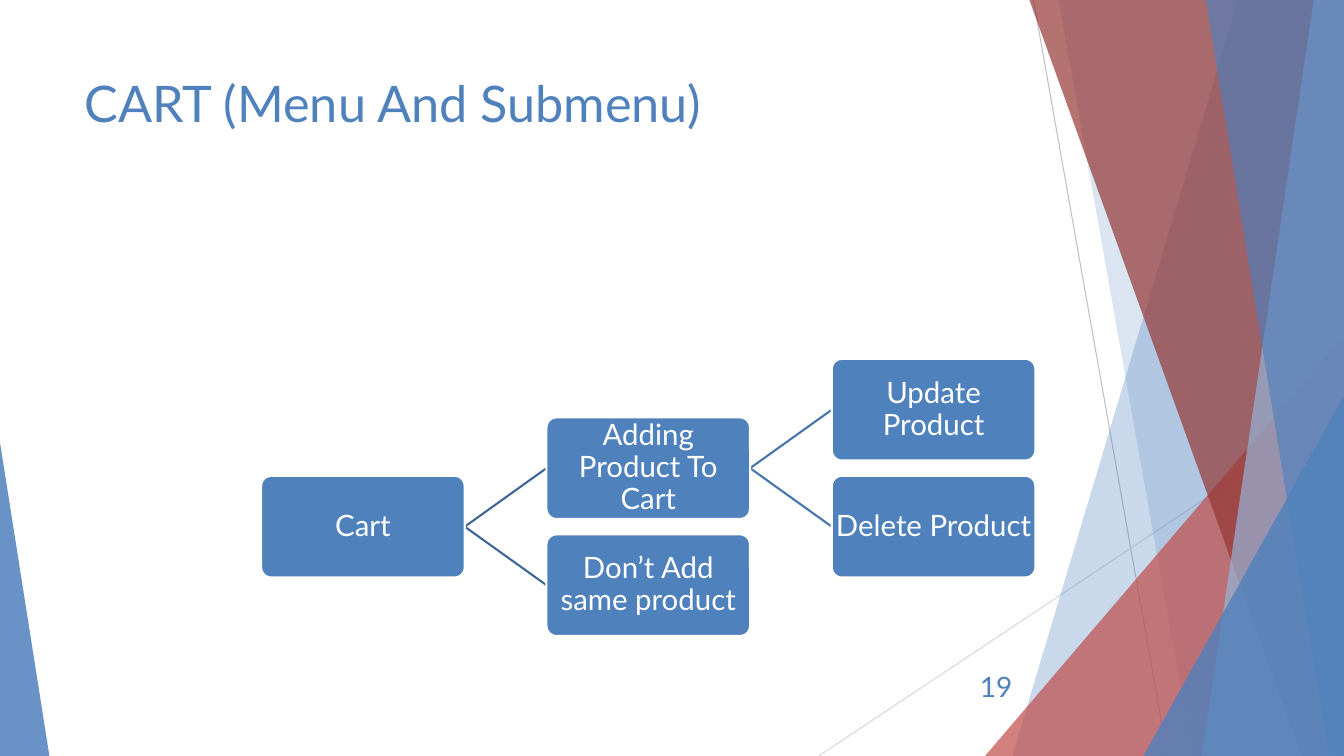
from lxml import etree
from pptx import Presentation
from pptx.dml.color import RGBColor
from pptx.enum.shapes import MSO_CONNECTOR, MSO_SHAPE
from pptx.enum.text import MSO_ANCHOR, PP_ALIGN
from pptx.oxml.ns import qn
from pptx.util import Inches, Pt

STRAIGHT = MSO_CONNECTOR.STRAIGHT
TRIANGLE = MSO_SHAPE.ISOSCELES_TRIANGLE
ROUNDED = MSO_SHAPE.ROUNDED_RECTANGLE
TOP, MIDDLE = MSO_ANCHOR.TOP, MSO_ANCHOR.MIDDLE
LEFT, CENTER, RIGHT = PP_ALIGN.LEFT, PP_ALIGN.CENTER, PP_ALIGN.RIGHT

BLUE = RGBColor(0x4F, 0x81, 0xBD)
PALE_BLUE = RGBColor(0x95, 0xB3, 0xD7)
RED = RGBColor(0xC0, 0x50, 0x4D)
DARK_RED = RGBColor(0x95, 0x37, 0x35)
WHITE = RGBColor(0xFF, 0xFF, 0xFF)
GREY = RGBColor(0xBF, 0xBF, 0xBF)
LIGHT_GREY = RGBColor(0xD9, 0xD9, 0xD9)
ROOT_LINK = RGBColor(0x3F, 0x67, 0x97)
CHILD_LINK = RGBColor(0x48, 0x75, 0xAC)

FONT = "Lato"
W, H = 13.33, 7.5

NODES = {
    "Cart": (0, 2),
    "Adding Product To Cart": (1, 1),
    "Don’t Add same product": (1, 3),
    "Update Product": (2, 0),
    "Delete Product": (2, 2),
}
LINKS = [
    ("Cart", "Adding Product To Cart", ROOT_LINK),
    ("Cart", "Don’t Add same product", ROOT_LINK),
    ("Adding Product To Cart", "Update Product", CHILD_LINK),
    ("Adding Product To Cart", "Delete Product", CHILD_LINK),
]


def paint(sp, color, alpha):
    sp.shadow.inherit = False
    sp.fill.solid()
    sp.fill.fore_color.rgb = color
    sp.line.fill.background()
    clr = sp.fill._xPr.find(qn("a:solidFill"))[0]
    etree.SubElement(clr, qn("a:alpha"), val=str(alpha * 1000))


def add_line(s, start, end, color, width):
    line = s.shapes.add_connector(STRAIGHT, *(Inches(v) for v in (*start, *end)))
    line.line.color.rgb = color
    line.line.width = Pt(width)
    etree.SubElement(line._element.spPr, qn("a:effectLst"))


def add_band(s, top_x, bottom_x, color, alpha):
    corners = [(top_x, 0), (W, 0), (W, H), (bottom_x, H)]
    points = [(Inches(x), Inches(y)) for x, y in corners]
    builder = s.shapes.build_freeform(*points[0])
    builder.add_line_segments(points[1:])
    paint(builder.convert_to_shape(), color, alpha)


def add_corner(s, x, width, height, apex, color, alpha):
    sp = s.shapes.add_shape(TRIANGLE, Inches(x), Inches(H - height),
                            Inches(width), Inches(height))
    sp.adjustments[0] = apex
    paint(sp, color, alpha)


def add_backdrop(s):
    add_line(s, (10.25, 0), (11.58, H), GREY, 0.75)
    add_line(s, (W, 4.03), (8.12, H), LIGHT_GREY, 0.75)
    add_band(s, 12.28, 10.04, BLUE, 30)
    add_band(s, 10.5, 11.83, BLUE, 20)
    add_corner(s, 9.77, 3.56, 4.17, 1, RED, 72)
    add_band(s, 10.21, 12.91, DARK_RED, 70)
    add_band(s, 13.03, 11.92, PALE_BLUE, 70)
    add_band(s, 11.96, 13.18, BLUE, 65)
    add_corner(s, 11.34, 1.99, 3.57, 1, BLUE, 80)
    add_corner(s, 0, 0.49, 3.11, 0, BLUE, 85)


def set_text(sp, text, size, color, align, anchor):
    tf = sp.text_frame
    tf.word_wrap = True
    tf.vertical_anchor = anchor
    p = tf.paragraphs[0]
    p.text = text
    p.alignment = align
    p.font.name = FONT
    p.font.size = Pt(size)
    p.font.color.rgb = color
    return tf


def add_label(s, box, text, size, align, anchor):
    sp = s.shapes.add_textbox(*(Inches(v) for v in box))
    set_text(sp, text, size, BLUE, align, anchor)


def add_node(s, box, text):
    sp = s.shapes.add_shape(ROUNDED, *(Inches(v) for v in box))
    sp.adjustments[0] = 0.1
    sp.shadow.inherit = False
    sp.fill.solid()
    sp.fill.fore_color.rgb = BLUE
    sp.line.color.rgb = WHITE
    sp.line.width = Pt(1.5)
    tf = set_text(sp, text, 21, WHITE, CENTER, MIDDLE)
    tf.margin_left = tf.margin_right = Inches(0.01)
    tf.margin_top = tf.margin_bottom = Inches(0.01)
    tf.paragraphs[0].line_spacing = 0.9


def add_tree(s, x, y, w, h):
    node_w, node_h = w * 0.263, h * 0.367
    col_step, row_step = (w - node_w) / 2, (h - node_h) / 3
    spots = {text: (x + col * col_step, y + row * row_step)
             for text, (col, row) in NODES.items()}
    for parent, child, color in LINKS:
        (px, py), (cx, cy) = spots[parent], spots[child]
        add_line(s, (px + node_w, py + node_h / 2), (cx, cy + node_h / 2), color, 1.5)
    for text, spot in spots.items():
        add_node(s, (*spot, node_w, node_h), text)


def main():
    prs = Presentation()
    prs.slide_width, prs.slide_height = Inches(W), Inches(H)
    s = prs.slides.add_slide(prs.slide_layouts[6])
    add_backdrop(s)
    add_label(s, (0.74, 0.67, 9.4, 1.44), "CART (Menu And Submenu)", 36, LEFT, TOP)
    add_tree(s, 2.59, 3.56, 7.68, 2.75)
    add_label(s, (9.39, 6.61, 0.75, 0.4), "19", 20, RIGHT, MIDDLE)
    prs.save("out.pptx")


if __name__ == "__main__":
    main()
